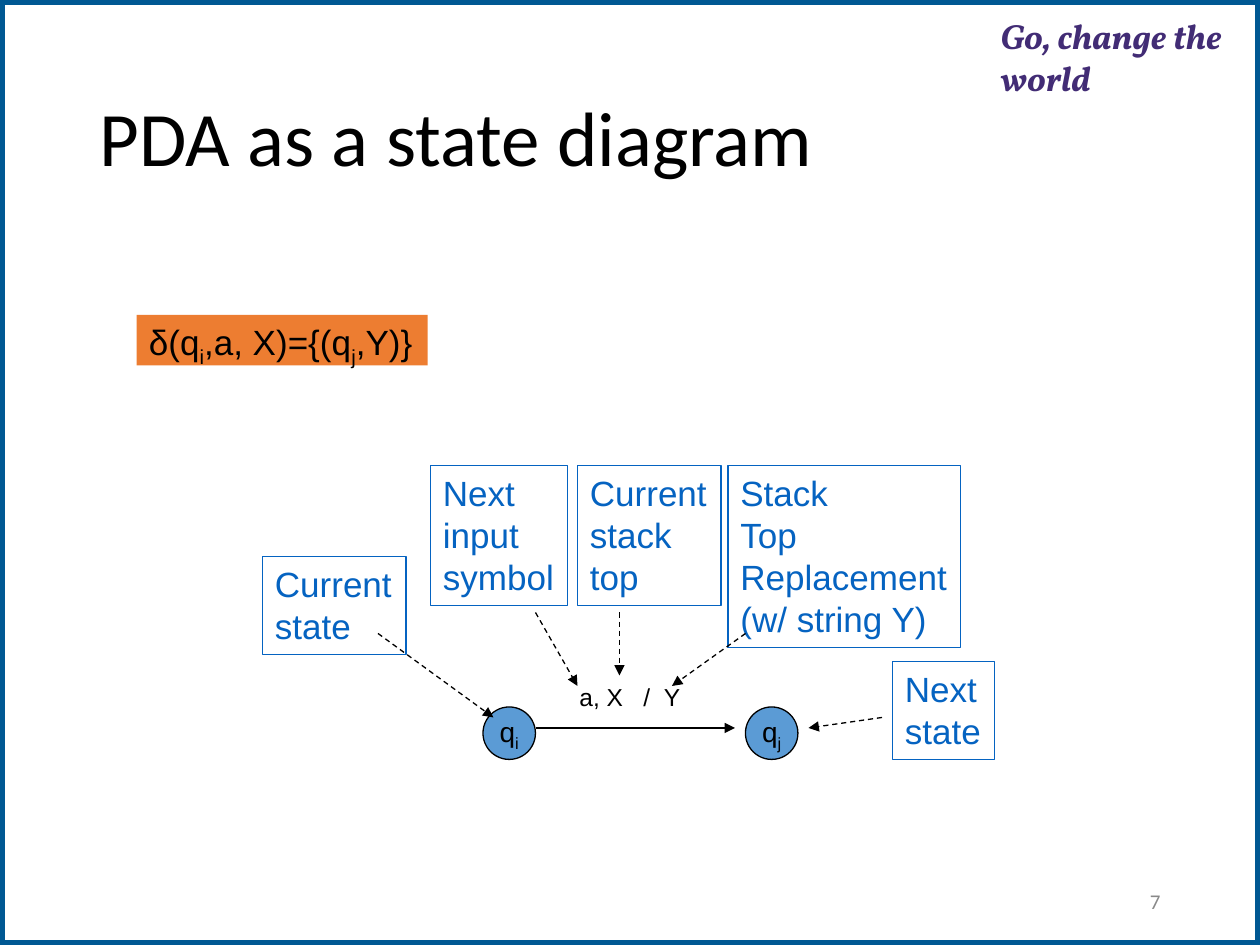
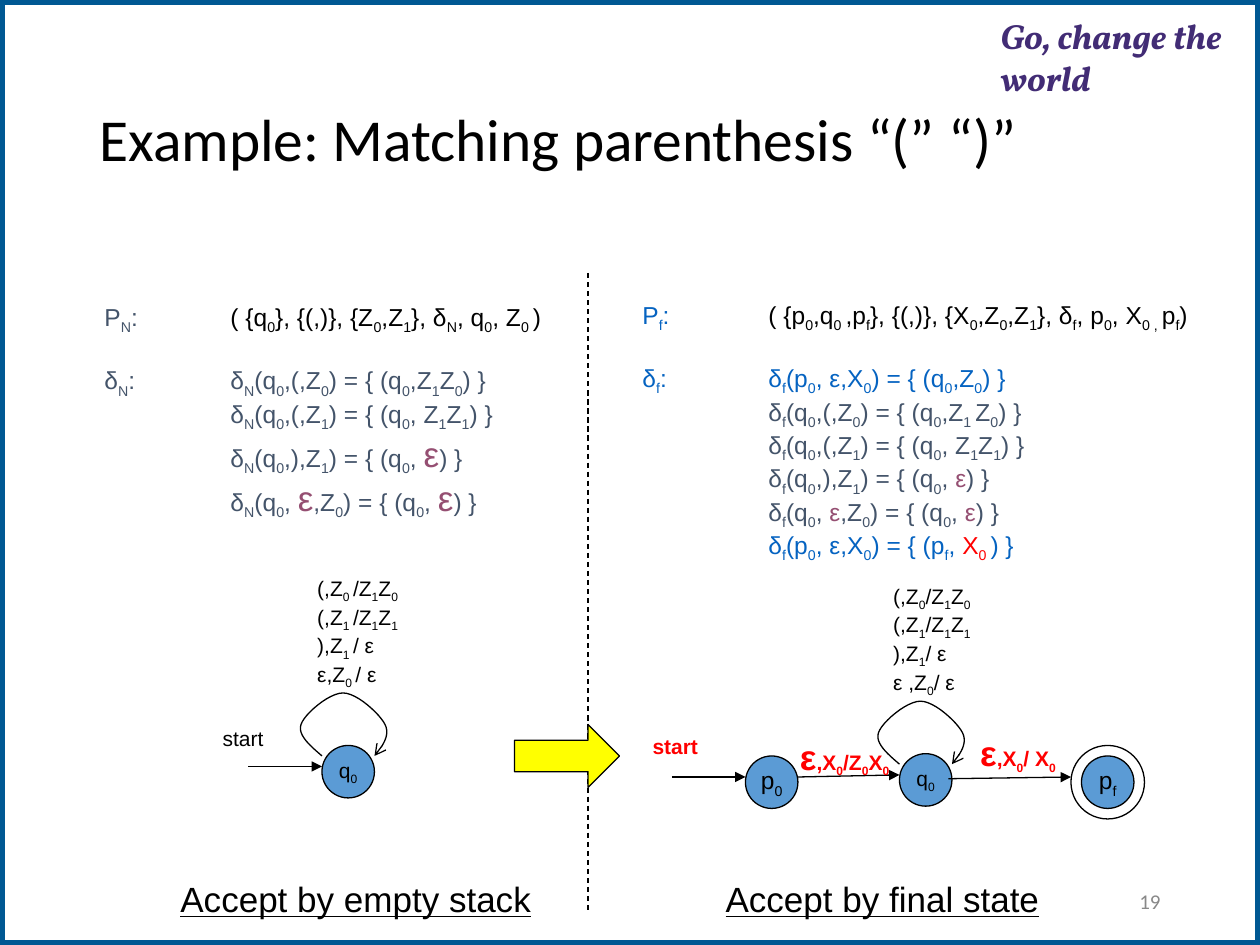
from pptx import Presentation
from pptx.dml.color import RGBColor
from pptx.enum.dml import MSO_LINE
from pptx.enum.shapes import MSO_CONNECTOR, MSO_SHAPE
from pptx.enum.text import MSO_ANCHOR, MSO_AUTO_SIZE, PP_ALIGN
from pptx.oxml.ns import qn
from pptx.util import Pt
from lxml.etree import SubElement

WHITE = RGBColor(0xFF, 0xFF, 0xFF)
BLACK = RGBColor(0, 0, 0)
FRAME_BLUE = RGBColor(0x00, 0x58, 0x93)
PURPLE = RGBColor(0x42, 0x2C, 0x75)
GREY = RGBColor(0x89, 0x89, 0x89)
STATE_BLUE = RGBColor(0x5B, 0x9B, 0xD5)
BLUE = RGBColor(0x05, 0x63, 0xC1)
SLATE = RGBColor(0x44, 0x54, 0x6A)
PLUM = RGBColor(0x95, 0x4F, 0x72)
ORANGE = RGBColor(0xED, 0x7D, 0x31)
RED = RGBColor(0xFF, 0, 0)
YELLOW = RGBColor(0xFF, 0xFF, 0)

# Markup in the content: [x] is a subscript, |style| switches colour and size
STYLES = {
    "black": (BLACK, None), "slate": (SLATE, None), "plum": (PLUM, None),
    "red": (RED, None), "big plum": (PLUM, 20), "big red": (RED, 20),
}

WIDTH, HEIGHT = 720, 540
TITLE_BOX = (49.7, 28.8, 620.6, 104.4)
SLOGAN = "Go, change the world"
SLOGAN_BOX = (571.7, 7.2, 147.6, 44.6)
NUMBER_BOX = (508.3, 500.4, 162, 28.8)
STATE = 30      # diameter of a state
RING = 42       # diameter of the ring round an accepting state
TAB = 72

# Slide 1: a transition and what its parts mean
DIAGRAM_TITLE = ("PDA as a state diagram", 44, "7")
FORMULA = ("δ(q[i],a, X)={(q[j],Y)}", (78, 180, 166.3, 28.8))
TRANSITION = ("a, X\t/\tY", (324, 386, 76, 24), (36.6, 48.3))
TRANSITION_ARROW = (306, 416, 420, 416)
TRANSITION_STATES = [("q[i]", 276, 404), ("q[j]", 426, 404)]
CALLOUTS = [  # lines, box, arrow
    (["Current", "state"], (150, 318, 82, 56), (216, 362, 282, 410)),
    (["Next", "input", "symbol"], (246, 266, 78.5, 80), (306, 350, 330, 392)),
    (["Current", "stack", "top"], (330, 266, 82, 80), (354, 350, 354, 386)),
    (["Stack", "Top", "Replacement", "(w/ string Y)"],
     (416, 266, 133, 104), (426, 362, 384, 392)),
    (["Next", "state"], (510, 378, 58.3, 56), (504, 410, 462, 416)),
]

# Slide 2: empty stack on the left, final state on the right
EXAMPLE_TITLE = ("Example: Matching parenthesis “(” “)”", 34, "19")
DIVIDER = (336, 156, 336, 522)
EQUATIONS = [  # base colour, box, wrap, lines
    (SLATE, (52.6, 169.2, 266.4, 122.4), False, [
        "P[N]:\t|black|( {q[0]}, {(,)}, {Z[0],Z[1]}, δ[N], q[0], Z[0 ])",
        "δ[N]:\tδ[N](q[0],(,Z[0]) = { (q[0],Z[1]Z[0]) }",
        "\tδ[N](q[0],(,Z[1]) = { (q[0], Z[1]Z[1]) }",
        "\tδ[N](q[0],),Z[1]) = { (q[0], |big plum|ε|base|) }",
        "\tδ[N](q[0], |big plum|ε|base|,Z[0]) = { (q[0], |big plum|ε|base|) }",
    ]),
    (BLUE, (360, 167.8, 336, 143.3), True, [
        "P[f]:\t|black|( {p[0],q[0 ],p[f]}, {(,)}, {X[0],Z[0],Z[1]}, "
        "δ[f], p[0], X[0 , ]p[f])",
        "δ[f]:\tδ[f](p[0], ε,X[0]) = { (q[0],Z[0]) }",
        "|slate|\tδ[f](q[0],(,Z[0]) = { (q[0],Z[1 ]Z[0]) }",
        "|slate|\tδ[f](q[0],(,Z[1]) = { (q[0], Z[1]Z[1]) }",
        "|slate|\tδ[f](q[0],),Z[1]) = { (q[0], |plum|ε|slate|) }",
        "|slate|\tδ[f](q[0], |plum|ε|slate|,Z[0]) = { (q[0], |plum|ε|slate|) }",
        "\tδ[f](p[0], ε,X[0]) = { (p[f], |red|X[0 ]|base|) }",
    ]),
]
LOOPS = [  # left and top of the looping state, label box, label lines
    (184, 426, (174.2, 325.4, 63.4, 65.5),
     ["(,Z[0 ]/Z[1]Z[0]", "(,Z[1 ]/Z[1]Z[1]", "),Z[1 ]/ ε", "ε,Z[0 ]/ ε"]),
    (514, 430.7, (503.3, 329.8, 61.2, 65.5),
     ["(,Z[0]/Z[1]Z[0]", "(,Z[1]/Z[1]Z[1]", "),Z[1]/ ε", "ε ,Z[0]/ ε"]),
]
LOOP_START = (0, 6)
LOOP_CURVES = [  # two control points and an end point, from the state's corner
    ((-7, 0), (-14, -6), (-12, -12)),
    ((-10, -18), (4, -30), (12, -30)),
    ((20, -30), (33, -18), (36, -12)),
    ((39, -6), (35, 0), (30, 6)),
]
OUTER_STATES = [("p[0]", 426, 432), ("p[f]", 618, 432)]
STEPS = [(142, 438, 184, 438), (384, 444, 426, 444),
         (456, 444, 514, 442.8), (542, 445, 612, 444)]
STEP_LABELS = [  # text, colour, bold, box
    ("start", BLACK, False, (120.2, 411.1, 38.2, 21.6)),
    ("start", RED, True, (365.8, 415.4, 40.3, 21.6)),
    ("|big red|ε|base|,X[0]/Z[0]X[0]", RED, True, (450, 416.9, 67.7, 31.7)),
    ("|big red|ε|base|,X[0]/ X[0]", RED, True, (553, 414.7, 64.8, 31.7)),
]
BLOCK_ARROW = (294, 414, 60, 36)
CAPTIONS = [("Accept by empty stack", (96, 498, 216, 31.7)),
            ("Accept by final state", (407.5, 498, 195.1, 31.7))]


def points(values):
    return [Pt(value) for value in values]


# Text
def write(frame, lines, size, color=BLACK, font="Arial", bold=False,
          italic=False, underline=False, align=PP_ALIGN.LEFT, tabs=()):
    for number, line in enumerate(lines):
        paragraph = frame.add_paragraph() if number else frame.paragraphs[0]
        paragraph.alignment = align
        if tabs:
            tab_list = SubElement(paragraph._p.get_or_add_pPr(), qn("a:tabLst"))
            for stop in tabs:
                SubElement(tab_list, qn("a:tab"), pos=str(Pt(stop)), algn="l")
        styles = {**STYLES, "base": (color, None)}
        pieces = ["base"] + line.split("|")
        for style, piece in zip(pieces[::2], pieces[1::2]):
            run_color, run_size = styles[style]
            for index, text in enumerate(piece.replace("]", "[").split("[")):
                if not text:
                    continue
                run = paragraph.add_run()
                run.text = text
                run.font.name = font
                run.font.size = Pt(run_size or size)
                run.font.color.rgb = run_color
                run.font.bold = bold
                run.font.italic = italic
                run.font.underline = underline
                if index % 2:
                    run._r.get_or_add_rPr().set("baseline", "-25000")


def add_text(slide, box, lines, size, wrap=False, **look):
    frame = slide.shapes.add_textbox(*points(box)).text_frame
    frame.word_wrap = wrap
    frame.auto_size = MSO_AUTO_SIZE.SHAPE_TO_FIT_TEXT
    write(frame, lines, size, **look)
    return frame


# Shapes and lines
def paint(shape, fill=None, line=BLACK, weight=0.75):
    shape.shadow.inherit = False
    if fill is None:
        shape.fill.background()
    else:
        shape.fill.solid()
        shape.fill.fore_color.rgb = fill
    if line is None:
        shape.line.fill.background()
    else:
        shape.line.color.rgb = line
        shape.line.width = Pt(weight)


def add_shape(slide, kind, box, **look):
    shape = slide.shapes.add_shape(kind, *points(box))
    paint(shape, **look)
    return shape


def add_panel(slide, box, lines, **look):
    panel = add_shape(slide, MSO_SHAPE.RECTANGLE, box, **look)
    frame = panel.text_frame
    frame.word_wrap = False
    frame.auto_size = MSO_AUTO_SIZE.SHAPE_TO_FIT_TEXT
    frame.vertical_anchor = MSO_ANCHOR.TOP
    write(frame, lines, 20, color=look["line"] or BLACK)
    return frame


def add_state(slide, name, left, top, size):
    state = add_shape(slide, MSO_SHAPE.OVAL, (left, top, STATE, STATE),
                      fill=STATE_BLUE)
    state.text_frame.word_wrap = False
    state.text_frame.vertical_anchor = MSO_ANCHOR.MIDDLE
    write(state.text_frame, [name], size, align=PP_ALIGN.CENTER)


def add_head(line, kind):
    SubElement(line.element.spPr.find(qn("a:ln")), qn("a:tailEnd"), type=kind)


def add_line(slide, ends, dashed=False, head=True):
    line = slide.shapes.add_connector(MSO_CONNECTOR.STRAIGHT, *points(ends))
    line.line.color.rgb = BLACK
    line.line.width = Pt(0.75)
    if dashed:
        line.line.dash_style = MSO_LINE.DASH
    if head:
        add_head(line, "triangle")
    SubElement(line.element.spPr, qn("a:effectLst"))


def loop_points(left, top, steps=12):
    start = LOOP_START
    yield Pt(left + start[0]), Pt(top + start[1])
    for first, second, end in LOOP_CURVES:
        for step in range(1, steps + 1):
            t = step / steps
            x, y = (a * (1 - t) ** 3 + 3 * b * t * (1 - t) ** 2
                    + 3 * c * t ** 2 * (1 - t) + d * t ** 3
                    for a, b, c, d in zip(start, first, second, end))
            yield Pt(left + x), Pt(top + y)
        start = end


def add_loop(slide, left, top):
    start, *rest = loop_points(left, top)
    builder = slide.shapes.build_freeform(*start)
    builder.add_line_segments(rest, close=False)
    loop = builder.convert_to_shape()
    paint(loop)
    add_head(loop, "arrow")


# Frame, slogan, title and number of every slide
def add_slide(deck, heading, size, number):
    slide = deck.slides.add_slide(deck.slide_layouts[5])
    title = slide.shapes.title
    title.left, title.top, title.width, title.height = points(TITLE_BOX)
    frame = title.text_frame
    frame.auto_size = MSO_AUTO_SIZE.NONE
    frame.vertical_anchor = MSO_ANCHOR.MIDDLE
    write(frame, [heading], size, font="Calibri")
    frame.paragraphs[0].line_spacing = 0.9

    border = add_shape(slide, MSO_SHAPE.RECTANGLE, (0, 0, WIDTH, HEIGHT),
                       fill=WHITE, line=FRAME_BLUE, weight=6)
    title.element.addprevious(border.element)
    slogan = add_text(slide, SLOGAN_BOX, [SLOGAN], 20, wrap=True, color=PURPLE,
                      font="Vollkorn", bold=True, italic=True)
    slogan.margin_left = slogan.margin_right = slogan.margin_bottom = 0
    slogan.margin_top = Pt(1)
    footer = add_text(slide, NUMBER_BOX, [number], 12, wrap=True, color=GREY,
                      font="Calibri", align=PP_ALIGN.RIGHT)
    footer.auto_size = MSO_AUTO_SIZE.NONE
    footer.vertical_anchor = MSO_ANCHOR.MIDDLE
    return slide


def build_diagram(deck):
    slide = add_slide(deck, *DIAGRAM_TITLE)
    formula, formula_box = FORMULA
    panel = add_panel(slide, formula_box, [formula], fill=ORANGE, line=None)
    panel.paragraphs[0].line_spacing = 0.9
    for state in TRANSITION_STATES:
        add_state(slide, *state, size=16)
    add_line(slide, TRANSITION_ARROW)
    label, label_box, stops = TRANSITION
    add_text(slide, label_box, [label], 14, wrap=True, tabs=stops)
    for lines, box, arrow in CALLOUTS:
        add_panel(slide, box, lines, line=BLUE)
        add_line(slide, arrow, dashed=True)


def build_example(deck):
    slide = add_slide(deck, *EXAMPLE_TITLE)
    add_line(slide, DIVIDER, dashed=True, head=False)
    for color, box, wrap, lines in EQUATIONS:
        frame = add_text(slide, box, lines, 14, wrap=wrap, color=color,
                         tabs=[TAB])
        frame.paragraphs[1].space_before = Pt(17)

    # Both automata
    for left, top, label_box, lines in LOOPS:
        add_state(slide, "q[0]", left, top, 12)
        add_loop(slide, left, top)
        add_text(slide, label_box, lines, 12)
    accept_left, accept_top = OUTER_STATES[-1][1:]
    margin = (RING - STATE) / 2
    add_shape(slide, MSO_SHAPE.OVAL,
              (accept_left - margin, accept_top - margin, RING, RING))
    for state in OUTER_STATES:
        add_state(slide, *state, size=14)
    for step in STEPS:
        add_line(slide, step)
    for label, color, bold, box in STEP_LABELS:
        add_text(slide, box, [label], 12, color=color, bold=bold)

    add_shape(slide, MSO_SHAPE.RIGHT_ARROW, BLOCK_ARROW, fill=YELLOW)
    for caption, box in CAPTIONS:
        add_text(slide, box, [caption], 20, underline=True)


def main():
    deck = Presentation()
    deck.slide_width, deck.slide_height = Pt(WIDTH), Pt(HEIGHT)
    build_diagram(deck)
    build_example(deck)
    deck.save("out.pptx")


if __name__ == "__main__":
    main()
